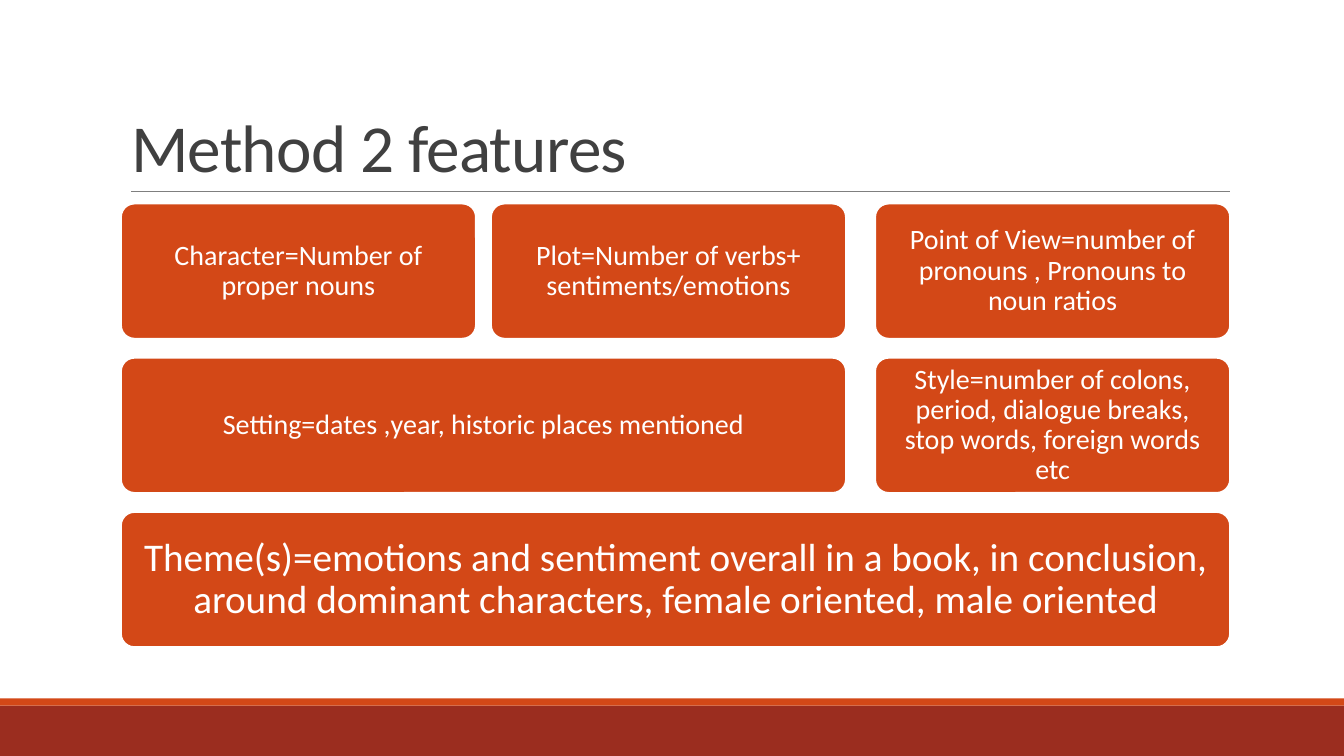
import pptx
import pptx.dml.color
import pptx.enum.shapes
import pptx.enum.text
import pptx.oxml.ns
import pptx.util
from lxml import etree

RGBColor = pptx.dml.color.RGBColor
Inches = pptx.util.Inches
Pt = pptx.util.Pt
MSO_SHAPE = pptx.enum.shapes.MSO_SHAPE
MSO_ANCHOR = pptx.enum.text.MSO_ANCHOR
PP_ALIGN = pptx.enum.text.PP_ALIGN

WHITE = RGBColor(0xFF, 0xFF, 0xFF)
ORANGE = RGBColor(0xD3, 0x48, 0x17)
BRICK = RGBColor(0x9B, 0x2D, 0x1F)
CHARCOAL = RGBColor(0x40, 0x40, 0x40)
GREY = RGBColor(0x7F, 0x7F, 0x7F)

SLIDE_WIDTH, SLIDE_HEIGHT = 13.33, 7.5
COLUMN_LEFTS = (1.2, 4.87, 8.68)
COLUMN_WIDTH = 3.52
ROW_TOP, ROW_PITCH, ROW_HEIGHT = 2.02, 1.53, 1.34

FEATURES = [
    ("Theme(s)=emotions and sentiment overall in a book, in conclusion, "
     "around dominant characters, female oriented, male oriented", 2, 0, 2, 28),
    ("Setting=dates ,year, historic places mentioned", 1, 0, 1, 20),
    ("Character=Number of proper nouns", 0, 0, 0, 20),
    ("Plot=Number of verbs+ sentiments/emotions", 0, 1, 1, 20),
    ("Style=number of colons, period, dialogue breaks, stop words, "
     "foreign words etc", 1, 2, 2, 20),
    ("Point of View=number of pronouns , Pronouns to noun ratios", 0, 2, 2, 20),
]


class FeatureSlide:
    font_name = "Calibri"

    def __init__(self, presentation):
        self.slide = presentation.slides.add_slide(presentation.slide_layouts[5])

    def style_paragraph(self, paragraph, size, color, align, line_spacing):
        paragraph.alignment = align
        paragraph.line_spacing = line_spacing
        paragraph.font.name = self.font_name
        paragraph.font.size = Pt(size)
        paragraph.font.color.rgb = color

    def title(self, text):
        heading = self.slide.shapes.title
        heading.left, heading.top = Inches(COLUMN_LEFTS[0]), Inches(0.31)
        heading.width, heading.height = Inches(11), Inches(1.59)
        frame = heading.text_frame
        frame.text = text
        frame.word_wrap = True
        frame.auto_size = pptx.enum.text.MSO_AUTO_SIZE.NONE
        frame.vertical_anchor = MSO_ANCHOR.BOTTOM
        paragraph = frame.paragraphs[0]
        self.style_paragraph(paragraph, 48, CHARCOAL, PP_ALIGN.LEFT, 0.85)
        paragraph.runs[0].font._element.set("spc", "-50")

    def block(self, preset, left, top, width, height, fill):
        block = self.slide.shapes.add_shape(
            preset, Inches(left), Inches(top), Inches(width), Inches(height))
        block.shadow.inherit = False
        block.fill.solid()
        block.fill.fore_color.rgb = fill
        block.line.fill.background()
        return block

    def band(self, top, height, fill):
        self.block(MSO_SHAPE.RECTANGLE, 0, top, SLIDE_WIDTH, height, fill)

    def rule(self, left, right, y):
        rule = self.slide.shapes.add_connector(
            pptx.enum.shapes.MSO_CONNECTOR.STRAIGHT,
            Inches(left), Inches(y), Inches(right), Inches(y))
        rule.line.color.rgb = GREY
        rule.line.width = Pt(0.5)
        etree.SubElement(rule._element.spPr, pptx.oxml.ns.qn("a:effectLst"))

    def feature(self, text, row, first_column, last_column, size):
        left = COLUMN_LEFTS[first_column]
        width = COLUMN_LEFTS[last_column] + COLUMN_WIDTH - left
        card = self.block(MSO_SHAPE.ROUNDED_RECTANGLE, left,
                          ROW_TOP + row * ROW_PITCH, width, ROW_HEIGHT, ORANGE)
        card.adjustments[0] = 0.1
        card.line.color.rgb = WHITE
        card.line.width = Pt(1.25)
        frame = card.text_frame
        frame.text = text
        frame.word_wrap = True
        frame.vertical_anchor = MSO_ANCHOR.MIDDLE
        inset = Inches(0.16 if size > 20 else 0.12)
        frame.margin_left = frame.margin_right = inset
        frame.margin_top = frame.margin_bottom = inset
        paragraph = frame.paragraphs[0]
        self.style_paragraph(paragraph, size, WHITE, PP_ALIGN.CENTER, 0.9)
        paragraph.space_after = Pt(12 if size > 20 else 8)


def main():
    presentation = pptx.Presentation()
    presentation.slide_width = Inches(SLIDE_WIDTH)
    presentation.slide_height = Inches(SLIDE_HEIGHT)
    page = FeatureSlide(presentation)
    page.band(7, 0.5, BRICK)
    page.band(6.93, 0.07, ORANGE)
    page.rule(1.3, 12.2, 1.9)
    page.title("Method 2 features")
    for feature in FEATURES:
        page.feature(*feature)
    presentation.save("out.pptx")


if __name__ == "__main__":
    main()
